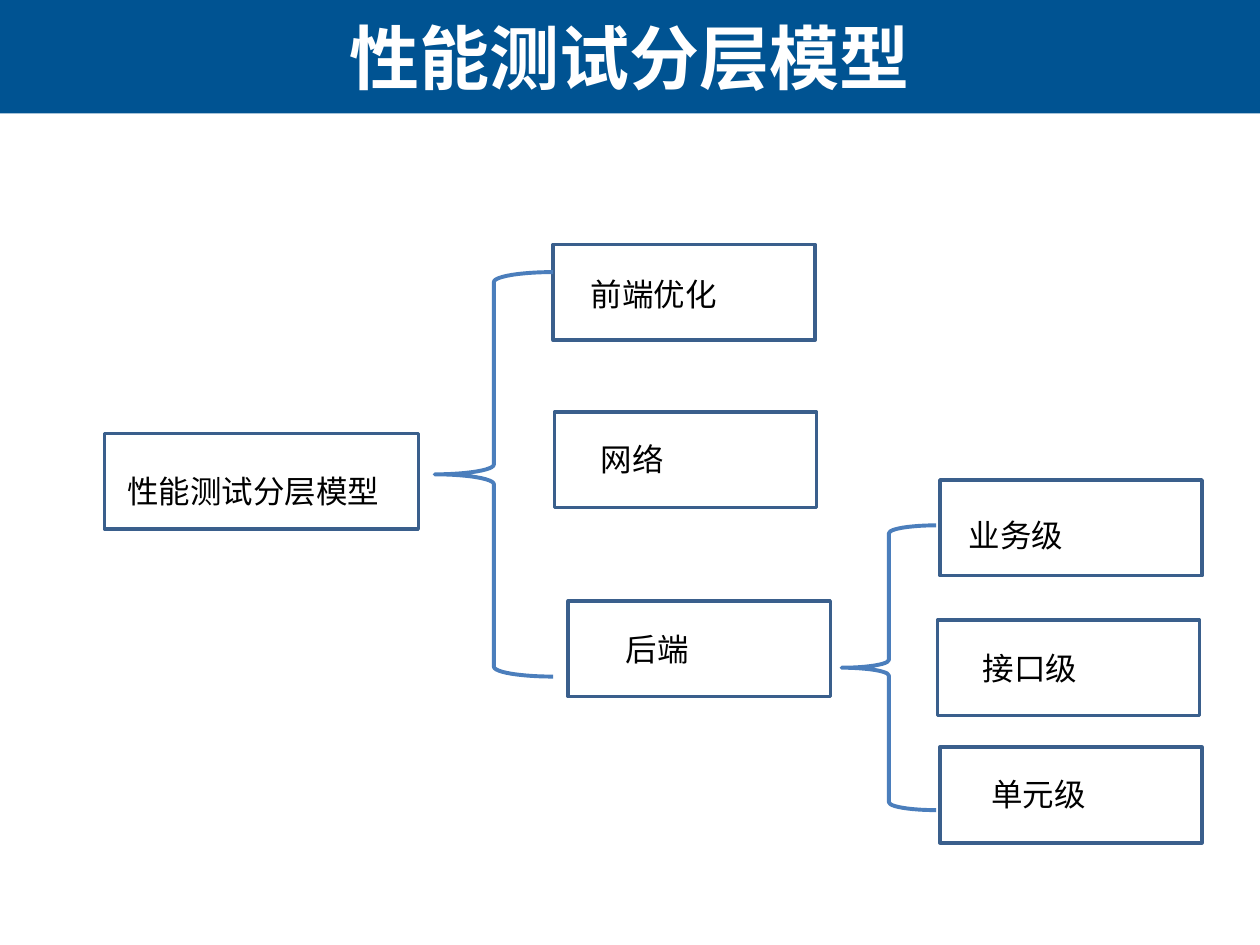
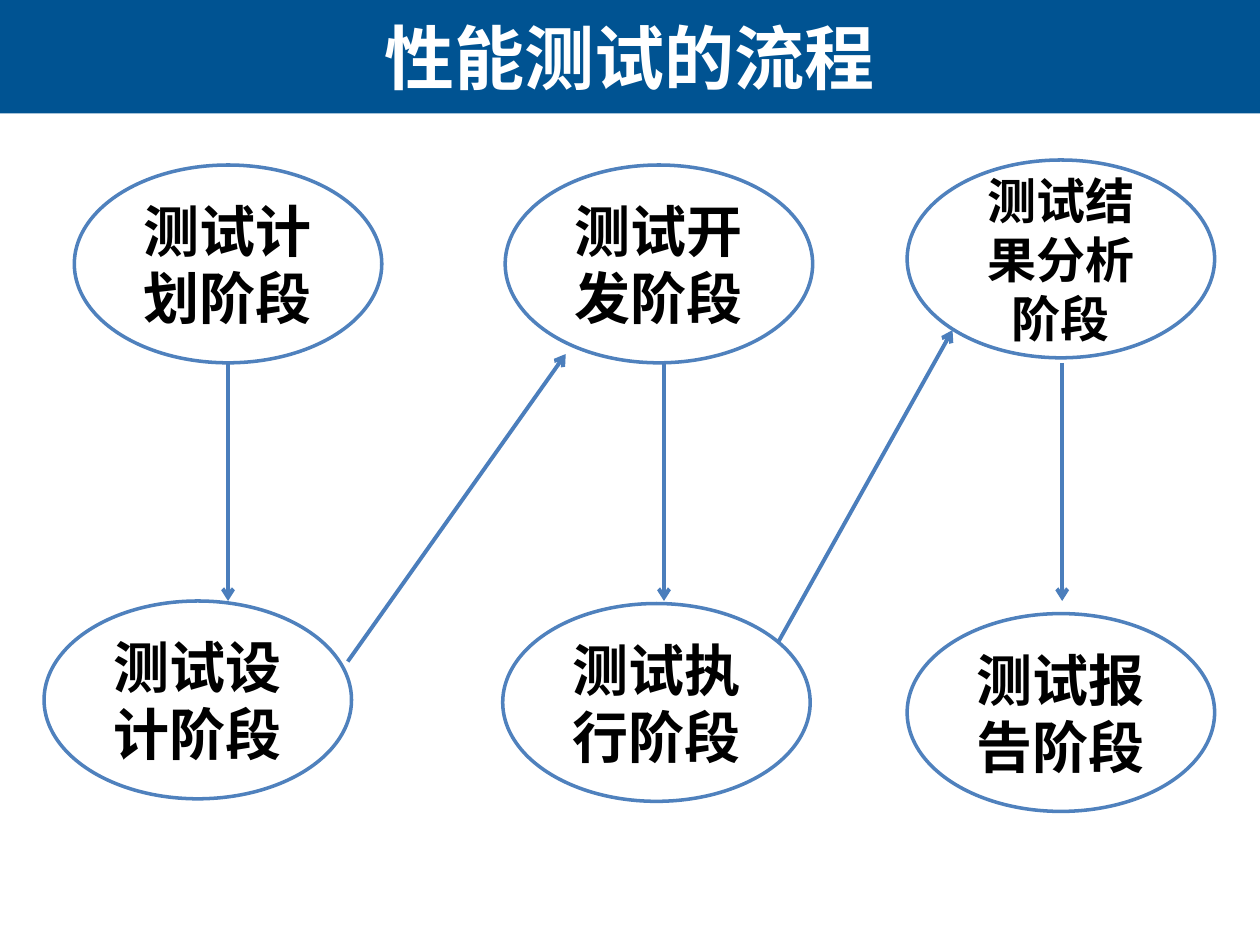
from lxml import etree
from pptx import Presentation
from pptx import util as u
from pptx.dml.color import RGBColor
from pptx.enum import shapes, text
from pptx.oxml import ns

BAND_BLUE = RGBColor(0x00, 0x53, 0x92)
BOX_BLUE = RGBColor(0x3A, 0x5F, 0x8C)
LINK_BLUE = RGBColor(0x4B, 0x7E, 0xBC)
OVAL_BLUE = RGBColor(0x4F, 0x81, 0xBD)
WHITE = RGBColor(0xFF, 0xFF, 0xFF)
BLACK = RGBColor(0x00, 0x00, 0x00)

BOX_WIDTH, BOX_HEIGHT = 2.08, 0.76
OVAL_WIDTH, OVAL_HEIGHT = 2.44, 1.57

BOXES = [
    ("性能测试分层模型", (0.83, 3.44), 2.49, (0.91, 3.7), 3.15),
    ("前端优化", (4.39, 1.94), BOX_WIDTH, (4.59, 2.13), 2.09),
    ("网络", (4.4, 3.27), BOX_WIDTH, (4.67, 3.44), 1.04),
    ("后端", (4.51, 4.77), BOX_WIDTH, (4.87, 4.95), 1.04),
    ("业务级", (7.46, 3.81), BOX_WIDTH, (7.59, 4.05), 1.93),
    ("接口级", (7.44, 4.92), BOX_WIDTH, (7.7, 5.1), 1.04),
    ("单元级", (7.46, 5.93), BOX_WIDTH, (7.77, 6.1), 1.04),
]
BRACES = [(3.45, 2.16, 0.94, 3.21), (6.68, 4.17, 0.75, 2.26)]

STAGES = [
    ("测试计划阶段", 0.59, 1.31, 32),
    ("测试设计阶段", 0.35, 4.77, 32),
    ("测试开发阶段", 4.01, 1.31, 32),
    ("测试执行阶段", 3.99, 4.79, 32),
    ("测试结果分析阶段", 7.2, 1.27, 28),
    ("测试报告阶段", 7.2, 4.87, 32),
]
DOWN_ARROWS = [1.81, 5.27, 8.43]
RISING_ARROWS = [((2.76, 5.25), (4.49, 2.81)), ((6.18, 5.09), (7.56, 2.62))]


def write_text(shape, wording, size=18, font="Calibri", color=BLACK, bold=False,
               align=text.PP_ALIGN.LEFT, anchor=text.MSO_ANCHOR.TOP):
    """Fill a shape with one formatted, wrapping paragraph."""
    frame = shape.text_frame
    frame.word_wrap = True
    frame.vertical_anchor = anchor
    paragraph = frame.paragraphs[0]
    paragraph.alignment = align
    run = paragraph.add_run()
    run.text = wording
    run.font.size = u.Pt(size)
    run.font.name = font
    run.font.bold = bold
    run.font.color.rgb = color


def add_text(slide, wording, left, top, width, height, **text_format):
    """Add a text box."""
    box = slide.shapes.add_textbox(*map(u.Inches, (left, top, width, height)))
    write_text(box, wording, **text_format)


def add_shape(slide, kind, left, top, width, height, fill=None, line=None, weight=2):
    """Add a preset shape with an optional fill and outline."""
    shape = slide.shapes.add_shape(kind, *map(u.Inches, (left, top, width, height)))
    shape.shadow.inherit = False
    if fill is None:
        shape.fill.background()
    else:
        shape.fill.solid()
        shape.fill.fore_color.rgb = fill
    if line is None:
        shape.line.fill.background()
    else:
        shape.line.color.rgb = line
        shape.line.width = u.Pt(weight)
    return shape


def add_arrow(slide, start, end):
    """Add a straight connector with an open arrowhead at its end."""
    connector = slide.shapes.add_connector(
        shapes.MSO_CONNECTOR.STRAIGHT, *map(u.Inches, (*start, *end)))
    connector.line.color.rgb = LINK_BLUE
    connector.line.width = u.Pt(2.25)
    head = etree.SubElement(connector.line._get_or_add_ln(), ns.qn("a:tailEnd"))
    head.set("type", "arrow")
    etree.SubElement(connector._element.spPr, ns.qn("a:effectLst"))


def add_titled_slide(presentation, title):
    """Add a blank slide with the blue title band."""
    slide = presentation.slides.add_slide(presentation.slide_layouts[6])
    add_shape(slide, shapes.MSO_SHAPE.RECTANGLE, 0, 0, 10, 0.9, fill=BAND_BLUE)
    add_text(slide, title, -0.01, 0, 10.01, 0.9, size=40, font="Arial", color=WHITE,
             bold=True, align=text.PP_ALIGN.CENTER, anchor=text.MSO_ANCHOR.MIDDLE)
    return slide


def build_model_slide(presentation):
    """Build the tree of test layers."""
    slide = add_titled_slide(presentation, "性能测试分层模型")
    for label, corner, width, label_corner, label_width in BOXES:
        add_shape(slide, shapes.MSO_SHAPE.RECTANGLE, *corner, width, BOX_HEIGHT,
                  line=BOX_BLUE)
        add_text(slide, label, *label_corner, label_width, 0.4)
    for bounds in BRACES:
        add_shape(slide, shapes.MSO_SHAPE.LEFT_BRACE, *bounds, line=LINK_BLUE, weight=2.25)


def build_process_slide(presentation):
    """Build the flow of test stages."""
    slide = add_titled_slide(presentation, "性能测试的流程")
    for label, left, top, size in STAGES:
        oval = add_shape(slide, shapes.MSO_SHAPE.OVAL, left, top, OVAL_WIDTH, OVAL_HEIGHT,
                         line=OVAL_BLUE)
        write_text(oval, label, size=size, bold=True, align=text.PP_ALIGN.CENTER,
                   anchor=text.MSO_ANCHOR.MIDDLE)
    for x in DOWN_ARROWS:
        add_arrow(slide, (x, 2.88), (x, 4.77))
    for start, end in RISING_ARROWS:
        add_arrow(slide, start, end)


def main():
    """Build and save the presentation."""
    presentation = Presentation()
    presentation.slide_width = u.Inches(10)
    presentation.slide_height = u.Inches(7.5)
    build_model_slide(presentation)
    build_process_slide(presentation)
    presentation.save("out.pptx")


main()
